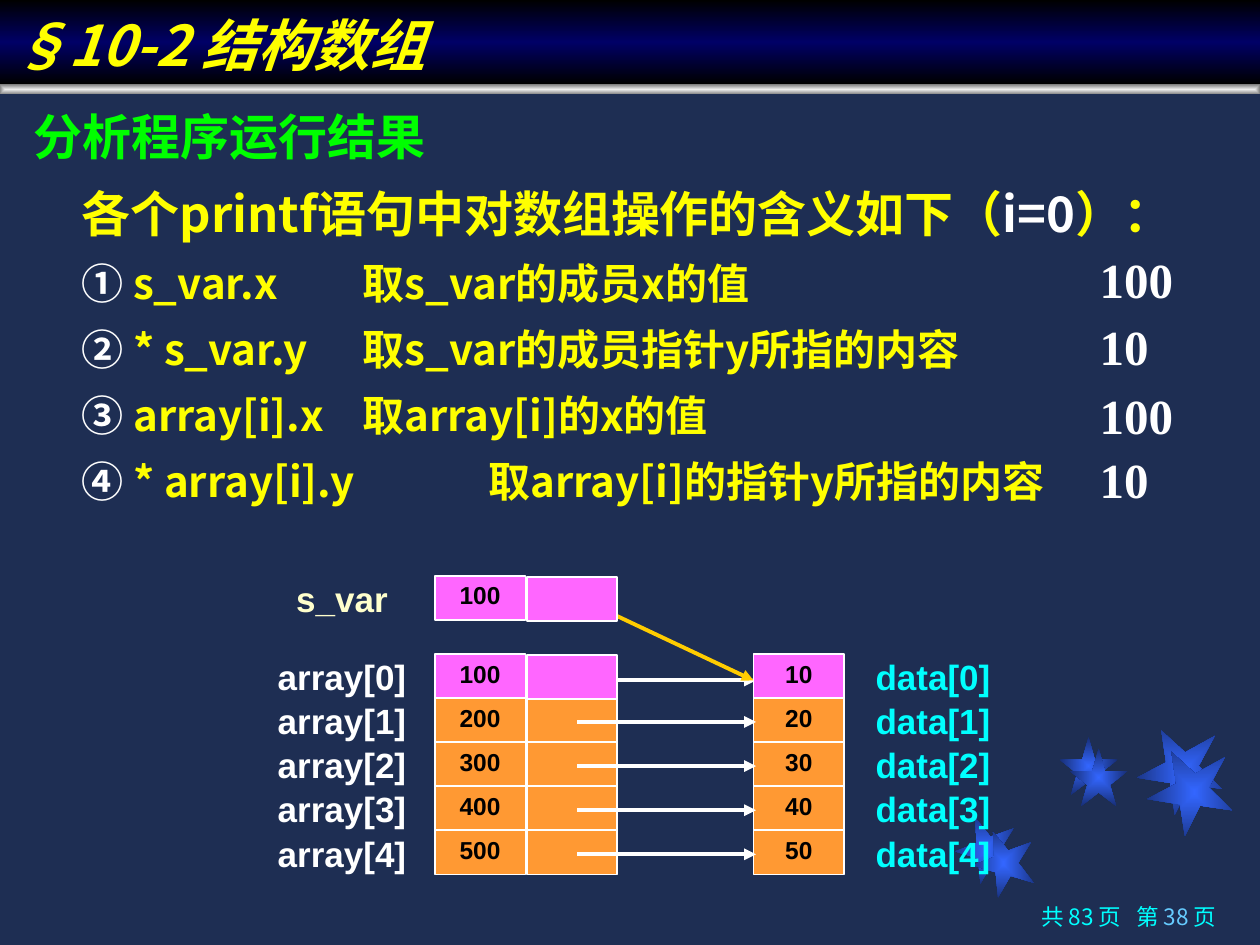
import lxml.etree
import pptx
import pptx.dml.color
import pptx.enum.shapes
import pptx.enum.text
import pptx.oxml.ns
import pptx.util

Inches, Pt = pptx.util.Inches, pptx.util.Pt
ALIGN = pptx.enum.text.PP_ALIGN
ANCHOR = pptx.enum.text.MSO_ANCHOR
RECT = pptx.enum.shapes.MSO_SHAPE.RECTANGLE
LINE = pptx.enum.shapes.MSO_CONNECTOR.STRAIGHT
qn = pptx.oxml.ns.qn

CJK, SANS, SERIF = "Noto Sans CJK SC", "Arial", "Times New Roman"
WHITE, YELLOW, CYAN, GREEN = "FFFFFF", "FFFF00", "00FFFF", "00FF00"
PINK, ORANGE, GOLD, CREAM = "FF66FF", "FF9933", "FFCC00", "FFFFCC"

TITLE = "§10-2 结构数组"
HEAD = "分析程序运行结果"
INTRO = [("各个printf语句中对数组操作的含义如下（", YELLOW),
         ("i=0", WHITE), ("）：", YELLOW)]
# mark, expression, meaning, tab stop, result, top of result
ITEMS = [
    ("① ", "s_var.x", "取s_var的成员x的值", 2.23, "100", 1.93),
    ("② ", "* s_var.y", "取s_var的成员指针y所指的内容", 2.23, "10", 2.46),
    ("③ ", "array[i].x", "取array[i]的x的值", 2.23, "100", 3.01),
    ("④ ", "* array[i].y", "取array[i]的指针y所指的内容", 3.23, "10", 3.52),
]
ROWS = [("100", "10"), ("200", "20"), ("300", "30"), ("400", "40"), ("500", "50")]
ARROWS = [5.4, 5.73, 6.08, 6.43, 6.78]
# outline in hundredths of an inch, rotation, shift of the twin star
STARS = [
    ([(758, 671), (776, 668), (779, 648), (788, 665), (807, 662),
      (794, 676), (803, 694), (786, 685), (773, 700), (775, 680)],
     349, (14, 11)),
    ([(841, 603), (859, 603), (864, 585), (869, 603), (887, 603),
      (873, 614), (878, 631), (864, 620), (850, 631), (855, 614)],
     0, (8, 9)),
    ([(911, 589), (935, 598), (952, 577), (949, 604), (973, 614),
      (948, 620), (946, 647), (933, 625), (907, 631), (924, 611)],
     22, (8, 17)),
]
LEFT, NEXT, DATA = 3.45, 4.18, 5.98
TOP, STEP, WIDE = 5.19, 0.35, 0.72

deck = pptx.Presentation()
deck.slide_width, deck.slide_height = Inches(10), Inches(7.5)
slide = deck.slides.add_slide(deck.slide_layouts[6])
shapes = slide.shapes


def rgb(code):
    return pptx.dml.color.RGBColor.from_string(code)


def add(parent, tag, **attrs):
    return lxml.etree.SubElement(parent, qn(tag), attrs)


def blend(shape, stops, angle=None):
    """Gradient fill: linear at an angle, or from the centre out."""
    shape.fill.gradient()
    grad = shape._element.spPr.find(qn("a:gradFill"))
    for child in list(grad):
        grad.remove(child)
    group = add(grad, "a:gsLst")
    for place, code in stops:
        stop = add(group, "a:gs", pos=str(place * 1000))
        add(stop, "a:srgbClr", val=code)
    if angle is not None:
        add(grad, "a:lin", ang=str(angle * 60000), scaled="0")
    else:
        way = add(grad, "a:path", path="rect")
        add(way, "a:fillToRect", l="50000", t="50000", r="50000", b="50000")


def write(para, text, size, color, font, bold=True, italic=False):
    run = para.add_run()
    run.text = text
    face = run.font
    face.size, face.bold, face.italic, face.name = Pt(size), bold, italic, font
    face.color.rgb = rgb(color)
    if font == CJK:
        add(run._r.get_or_add_rPr(), "a:ea", typeface=font)
    return run


def rect(x, y, w, h, fill=None):
    box = shapes.add_shape(RECT, *map(Inches, (x, y, w, h)))
    box.shadow.inherit = False
    if fill:
        box.fill.solid()
        box.fill.fore_color.rgb = rgb(fill)
        box.line.color.rgb = rgb(WHITE)
        box.line.width = Pt(1)
    else:
        box.line.fill.background()
    return box


def label(x, y, w, h, align=ALIGN.LEFT, anchor=ANCHOR.TOP):
    frame = shapes.add_textbox(*map(Inches, (x, y, w, h))).text_frame
    frame.word_wrap = True
    frame.vertical_anchor = anchor
    frame.paragraphs[0].alignment = align
    return frame


def name(x, y, w, text, color):
    frame = label(x, y, w, 0.44, ALIGN.CENTER, ANCHOR.MIDDLE)
    write(frame.paragraphs[0], text, 20, color, SANS)


def cell(x, y, fill, text=""):
    box = rect(x, y, WIDE, STEP, fill)
    if text:
        box.text_frame.vertical_anchor = ANCHOR.MIDDLE
        para = box.text_frame.paragraphs[0]
        para.alignment, para.line_spacing = ALIGN.CENTER, 0.8
        write(para, text, 14, "000000", SANS)


def arrow(x1, y1, x2, y2, color):
    link = shapes.add_connector(LINE, *map(Inches, (x1, y1, x2, y2)))
    link.line.color.rgb = rgb(color)
    link.line.width = Pt(2.25)
    add(link.line._get_or_add_ln(), "a:tailEnd", type="triangle")
    add(link._element.spPr, "a:effectLst")


def line(frame, before, indent=0.38, stop=None):
    """Start a body paragraph."""
    para = frame.add_paragraph() if before else frame.paragraphs[0]
    para.alignment, para.line_spacing = ALIGN.JUSTIFY, 1.1
    if before:
        para.space_before = Pt(before)
    props = para._p.get_or_add_pPr()
    props.set("marL", str(Inches(indent)))
    if stop:
        add(add(props, "a:tabLst"), "a:tab", pos=str(Inches(stop)), algn="l")
    return para


slide.background.fill.solid()
slide.background.fill.fore_color.rgb = rgb("1E2E53")

for twin in (0, 1):
    for points, turn, (dx, dy) in STARS:
        spots = [(x + twin * dx, y + twin * dy) for x, y in points]
        pen = shapes.build_freeform(*spots[0], scale=Inches(0.01))
        pen.add_line_segments(spots[1:], close=True)
        star = pen.convert_to_shape()
        star.shadow.inherit = False
        star.line.fill.background()
        star.rotation = turn
        blend(star, [(0, "3366FF"), (100, "182F76")])

blend(rect(0, 0.67, 10, 0.08), [(0, "EDEDED"), (100, "808080")])

body = label(0.17, 0.75, 9.67, 3.67)
write(line(body, 0, 0), HEAD, 28, GREEN, CJK)
intro = line(body, 7)
for text, color in INTRO:
    write(intro, text, 28, color, CJK)
for mark, code, sense, stop, value, y in ITEMS:
    para = line(body, 6, stop=stop)
    write(para, mark, 24, WHITE, CJK)
    write(para, code + "\t" + sense, 24, YELLOW, CJK)
    write(label(8.63, y, 1.17, 0.57).paragraphs[0], value, 28, WHITE, SERIF)

for i, (value, datum) in enumerate(ROWS):
    y = TOP + i * STEP
    name(1.98, y - 0.04, 1.47, f"array[{i}]", WHITE)
    name(6.69, y - 0.04, 1.43, f"data[{i}]", CYAN)
    if i:
        cell(LEFT, y, ORANGE, value)
        cell(NEXT, y, ORANGE)
        cell(DATA, y, ORANGE, datum)
for y in ARROWS:
    arrow(4.58, y, 6, y, WHITE)

name(1.98, 4.53, 1.47, "s_var", CREAM)
arrow(4.56, 4.73, DATA, ARROWS[0], GOLD)
cell(DATA, TOP, PINK, ROWS[0][1])
for y in (4.57, TOP):
    cell(LEFT, y, PINK, ROWS[0][0])
    cell(NEXT, y + 0.01, PINK)

bar = rect(0, 0, 10, 0.67)
blend(bar, [(0, "000000"), (50, "000066"), (100, "000000")], 90)
bar.text_frame.vertical_anchor = ANCHOR.BOTTOM
bar.text_frame.paragraphs[0].alignment = ALIGN.LEFT
write(bar.text_frame.paragraphs[0], TITLE, 32, YELLOW, CJK, italic=True)

foot = label(7.12, 7.14, 2.63, 0.36, ALIGN.RIGHT).paragraphs[0]
foot.line_spacing = 0.9
write(foot, "共 83 页", 12.9, CYAN, CJK, False)
gap = write(foot, " ", 12.9, CYAN, CJK, False)
gap._r.get_or_add_rPr().set("spc", "580")
for text, color in (("第 ", CYAN), ("38 ", "66CCFF"), ("页", CYAN)):
    write(foot, text, 12.9, color, CJK, False)

deck.save("out.pptx")
